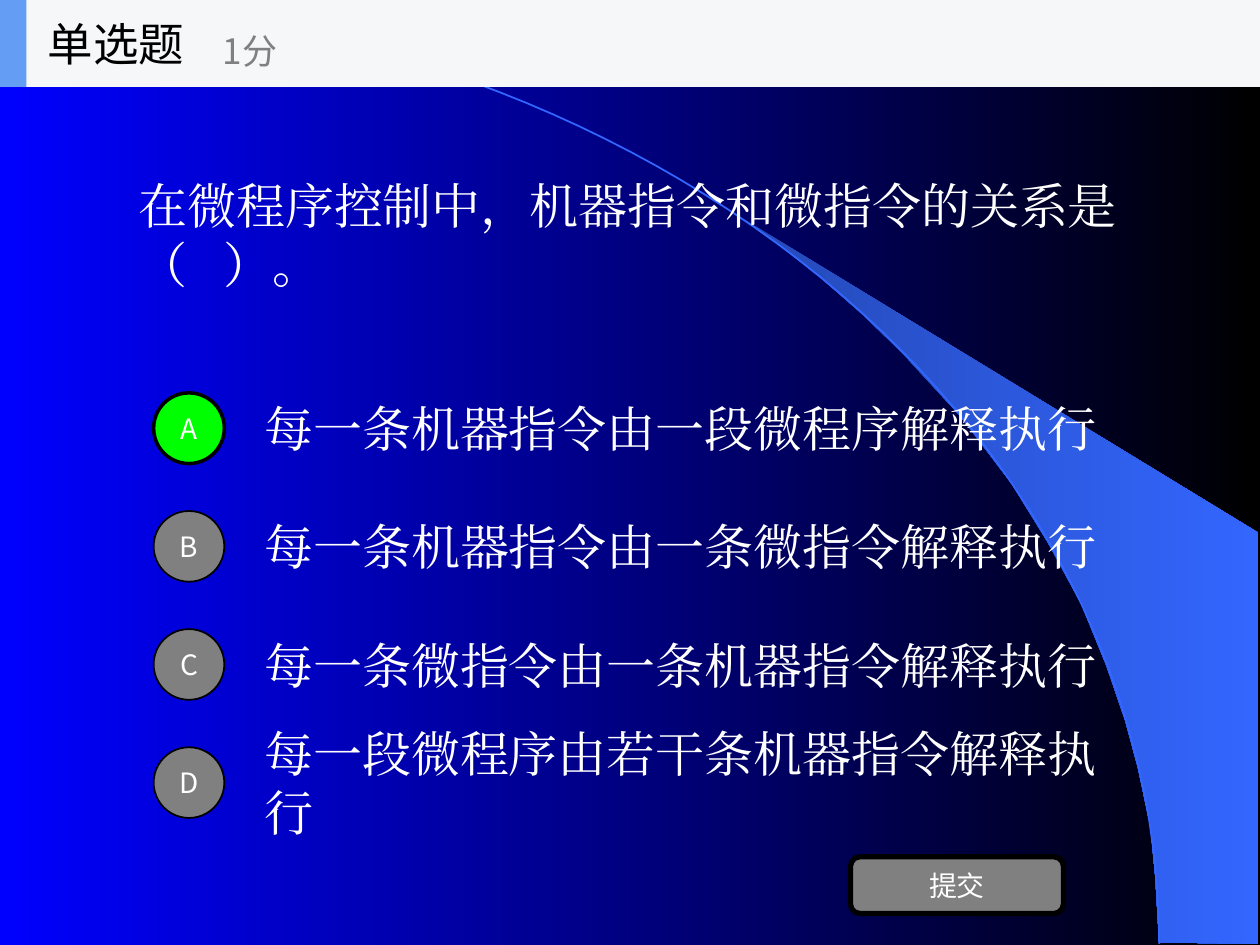
import math

from lxml import etree
from pptx import Presentation
from pptx.dml.color import RGBColor
from pptx.enum.shapes import MSO_SHAPE
from pptx.enum.text import MSO_ANCHOR, PP_ALIGN
from pptx.oxml.ns import qn
from pptx.util import Pt

OVAL, RECTANGLE, ROUNDED = MSO_SHAPE.OVAL, MSO_SHAPE.RECTANGLE, MSO_SHAPE.ROUNDED_RECTANGLE
MIDDLE, CENTER, LEFT = MSO_ANCHOR.MIDDLE, PP_ALIGN.CENTER, PP_ALIGN.LEFT
WIDTH, HEIGHT = 720, 540
BODY_FONT, LABEL_FONT = "Times New Roman", "Noto Sans CJK SC"
COLORS = {
    "blue": "0000FF", "black": "000000", "white": "FFFFFF", "gray": "808080",
    "green": "00FF00", "swoosh": "2449B6", "arc": "3366FF",
    "bar": "F6F7F8", "accent": "639EF4",
}
SWOOSH = [
    (662.4, 538.6), (719.3, 539.3), (719.3, 304.6), (424.1, 124.6), (449.3, 143.3),
    (470.2, 159.8), (493.2, 180), (515.5, 201.6), (548.6, 237.6), (578.2, 276.5),
    (599, 310.3), (617.8, 344.9), (632.2, 380.2), (643, 411.8), (650.2, 438.5),
    (657.4, 472.3), (660.2, 501.1),
]
OPTIONS = [
    ("A", "每一条机器指令由一段微程序解释执行"),
    ("B", "每一条机器指令由一条微指令解释执行"),
    ("C", "每一条微指令由一条机器指令解释执行"),
    ("D", "每一段微程序由若干条机器指令解释执行"),
]
CORRECT = "A"
OPTION_TOP, OPTION_STEP, OPTION_HEIGHT, CIRCLE = 219.5, 67.5, 50.4, 40.4


def rgb(name):
    return RGBColor.from_string(COLORS[name])


class QuizSlide:
    def __init__(self, slide):
        self.slide = slide

    def gradient(self, fill, *names):
        fill.gradient()
        fill.gradient_angle = 0
        for stop, name in zip(fill.gradient_stops, names):
            stop.color.rgb = rgb(name)

    def outline(self, points, closed):
        builder = self.slide.shapes.build_freeform(
            Pt(points[0][0]), Pt(points[0][1]), scale=1.0)
        builder.add_line_segments([(Pt(x), Pt(y)) for x, y in points[1:]], close=closed)
        shape = builder.convert_to_shape()
        shape.shadow.inherit = False
        return shape

    def set_text(self, shape, text, size, font, color, align=LEFT):
        frame = shape.text_frame
        frame.text = text
        frame.word_wrap = True
        frame.vertical_anchor = MIDDLE
        paragraph = frame.paragraphs[0]
        paragraph.alignment = align
        for run in paragraph.runs:
            run.font.size = Pt(size)
            run.font.name = font
            run.font.color.rgb = rgb(color)
            east_asian = etree.SubElement(run.font._element, qn("a:ea"))
            east_asian.set("typeface", font)

    def text(self, box, text, size=28, font=BODY_FONT, color="white"):
        shape = self.slide.shapes.add_textbox(*map(Pt, box))
        self.set_text(shape, text, size, font, color)

    def shape(self, kind, box, fill, line_width=0, label=""):
        shape = self.slide.shapes.add_shape(kind, *map(Pt, box))
        shape.shadow.inherit = False
        shape.fill.solid()
        shape.fill.fore_color.rgb = rgb(fill)
        if line_width:
            shape.line.color.rgb = rgb("black")
            shape.line.width = Pt(line_width)
        else:
            shape.line.fill.background()
        if label:
            frame = shape.text_frame
            frame.margin_left = frame.margin_right = 0
            frame.margin_top = frame.margin_bottom = 0
            self.set_text(shape, label, 16, LABEL_FONT, "white", CENTER)


def main():
    presentation = Presentation()
    presentation.slide_width, presentation.slide_height = Pt(WIDTH), Pt(HEIGHT)
    slide = presentation.slides.add_slide(presentation.slide_layouts[6])
    quiz = QuizSlide(slide)

    # Background with swoosh and quarter-ellipse arc
    quiz.gradient(slide.background.fill, "blue", "black")
    swoosh = quiz.outline(SWOOSH, True)
    quiz.gradient(swoosh.fill, "swoosh", "arc")
    swoosh.line.fill.background()
    angles = [math.radians(step * 1.5) for step in range(61)]
    arc = quiz.outline([(662.4 * math.sin(angle), 539.3 * (1 - math.cos(angle)))
                        for angle in angles], False)
    arc.fill.background()
    arc.line.color.rgb = rgb("arc")
    arc.line.width = Pt(1)

    # Question and answer options
    quiz.text((72, 49.7, 576, 168.5), "在微程序控制中，机器指令和微指令的关系是（   ）。")
    for index, (letter, answer) in enumerate(OPTIONS):
        top = OPTION_TOP + index * OPTION_STEP
        correct = letter == CORRECT
        quiz.text((144, top, 504, OPTION_HEIGHT), answer)
        quiz.shape(OVAL, (87.8, top + (OPTION_HEIGHT - CIRCLE) / 2, CIRCLE, CIRCLE),
                   "green" if correct else "gray", 2 if correct else 1, letter)

    # Submit button
    quiz.shape(ROUNDED, (486, 489.6, 121.7, 32.4), "gray", 3, "提交")

    # Header bar
    quiz.shape(RECTANGLE, (0, 0, WIDTH, 49.7), "bar")
    quiz.shape(RECTANGLE, (0, 0, 15.1, 49.7), "accent")
    quiz.text((20.2, 0, 149.8, 49.7), "单选题", 26, LABEL_FONT, "black")
    quiz.text((120.2, 8.6, 180, 40.3), "1分", 20, LABEL_FONT, "gray")

    presentation.save("out.pptx")


if __name__ == "__main__":
    main()
